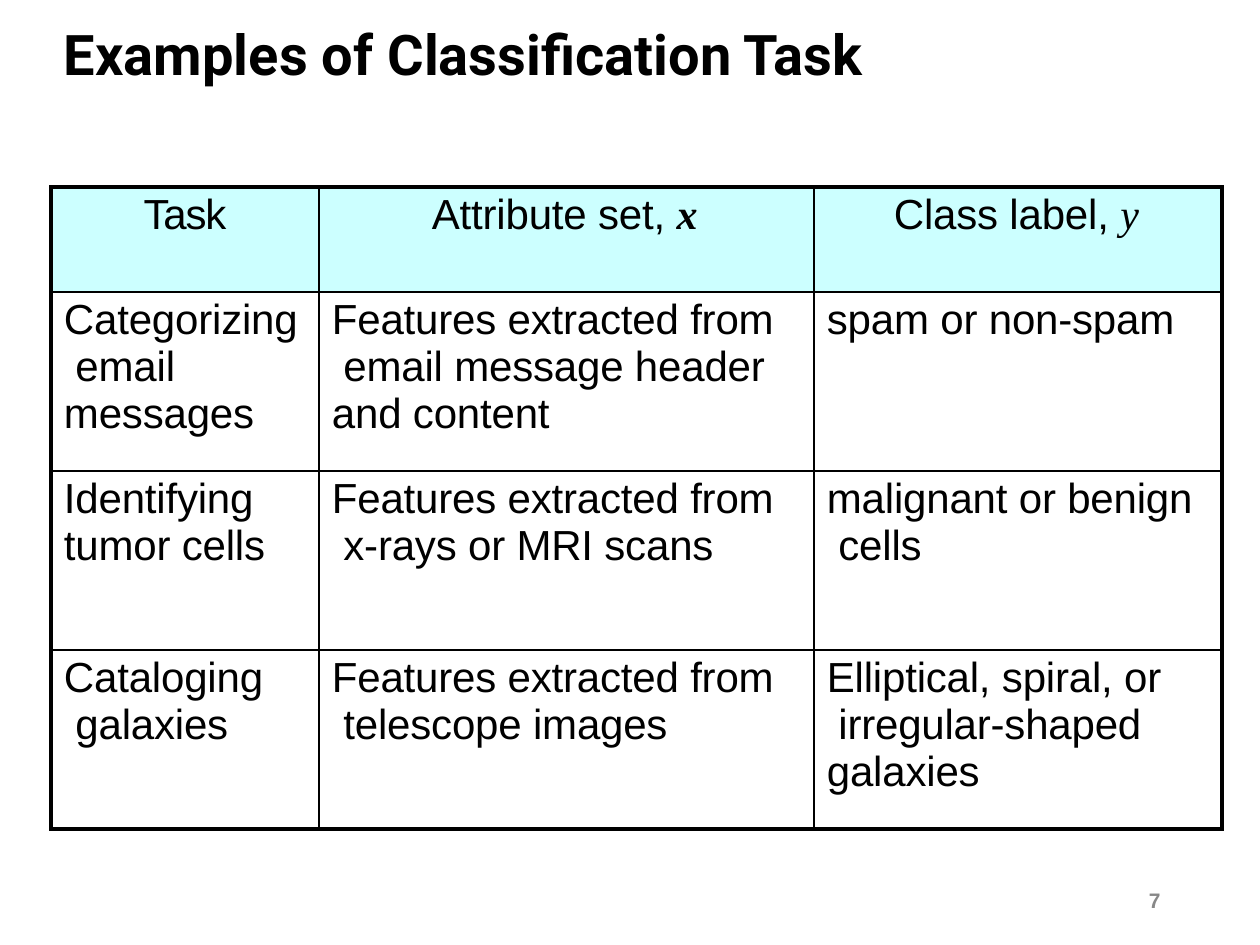
from lxml.etree import SubElement
from pptx import Presentation
from pptx.dml.color import RGBColor
from pptx.enum.text import PP_ALIGN
from pptx.oxml.ns import qn
from pptx.util import Pt

PX = 914400 / 126
BLACK = RGBColor(0, 0, 0)
GRAY = RGBColor(0x88, 0x88, 0x88)
PALE_CYAN = RGBColor(0xCC, 0xFF, 0xFF)

TITLE = "Examples of Classification Task"
PAGE_NUMBER = "7"
HEADERS = [("Task", ""), ("Attribute set, ", "x"), ("Class label, ", "y")]
HEADER_INDENTS = [0, 113, 80]
TASKS = [
    ("Categorizing\v email\vmessages",
     "Features extracted from\v email message header\vand content",
     "spam or non-spam"),
    ("Identifying\vtumor cells",
     "Features extracted from\v x-rays or MRI scans",
     "malignant or benign\v cells"),
    ("Cataloging\v galaxies",
     "Features extracted from\v telescope images",
     "Elliptical, spiral, or\v irregular-shaped\vgalaxies"),
]
TABLE_LEFT, TABLE_TOP = 51, 187
COLUMN_WIDTHS = [268, 495, 408]
ROW_HEIGHTS = [105, 179, 179, 179]
BODY_INDENT = 13
THIN, THICK = 1, 2.25


def px(value):
    return round(value * PX)


def format_run(run, size, name="Arial", color=BLACK, bold=False, italic=False, spacing=-10):
    run.font.size = Pt(size)
    run.font.name = name
    run.font.color.rgb = color
    run.font.bold = bold
    run.font.italic = italic
    run._r.get_or_add_rPr().set("spc", str(spacing))


def add_text(slide, text, box, **style):
    shape = slide.shapes.add_textbox(*map(px, box))
    frame = shape.text_frame
    frame.word_wrap = True
    frame.margin_left = frame.margin_right = frame.margin_top = frame.margin_bottom = 0
    frame.text = text
    paragraph = frame.paragraphs[0]
    format_run(paragraph.runs[0], **style)
    return paragraph


def set_borders(cell, row, column):
    last_row, last_column = len(ROW_HEIGHTS) - 1, len(COLUMN_WIDTHS) - 1
    outer_edges = {"a:lnL": column == 0, "a:lnR": column == last_column,
                   "a:lnT": row == 0, "a:lnB": row == last_row}
    properties = cell._tc.get_or_add_tcPr()
    for tag, is_outer in outer_edges.items():
        line = SubElement(properties, qn(tag), w=str(Pt(THICK if is_outer else THIN)))
        fill = SubElement(line, qn("a:solidFill"))
        SubElement(fill, qn("a:srgbClr"), val=str(BLACK))


def fill_cell(cell, row, column):
    set_borders(cell, row, column)
    cell.margin_right = cell.margin_bottom = 0
    cell.margin_top = px(5)
    paragraph = cell.text_frame.paragraphs[0]
    paragraph.space_before = Pt(3)
    if row:
        cell.fill.background()
        cell.margin_left = px(BODY_INDENT)
        paragraph.text = TASKS[row - 1][column]
        for run in paragraph.runs:
            format_run(run, 24)
        return
    cell.fill.solid()
    cell.fill.fore_color.rgb = PALE_CYAN
    cell.margin_left = px(HEADER_INDENTS[column])
    label, symbol = HEADERS[column]
    paragraph.text = label
    format_run(paragraph.runs[0], 24, spacing=-10 if symbol else -70)
    if symbol:
        run = paragraph.add_run()
        run.text = symbol
        format_run(run, 24, "Times New Roman", bold=symbol == "x", italic=True, spacing=0)
    else:
        paragraph.alignment = PP_ALIGN.CENTER


def add_task_table(slide):
    frame = slide.shapes.add_table(
        len(ROW_HEIGHTS), len(COLUMN_WIDTHS), px(TABLE_LEFT), px(TABLE_TOP),
        px(sum(COLUMN_WIDTHS)), px(sum(ROW_HEIGHTS)))
    table = frame.table
    table.first_row = table.horz_banding = False
    for column, width in enumerate(COLUMN_WIDTHS):
        table.columns[column].width = px(width)
    for row, height in enumerate(ROW_HEIGHTS):
        table.rows[row].height = px(height)
        for column in range(len(COLUMN_WIDTHS)):
            fill_cell(table.cell(row, column), row, column)


def main():
    presentation = Presentation()
    presentation.slide_width, presentation.slide_height = px(1260), px(945)
    slide = presentation.slides.add_slide(presentation.slide_layouts[6])
    title = add_text(slide, TITLE, (64, 20, 882, 71), size=32, name="Roboto",
                     bold=True, spacing=0)
    title.space_before = Pt(1.1)
    number = add_text(slide, PAGE_NUMBER, (1149, 888, 23, 26), size=12, color=GRAY, bold=True)
    number.line_spacing = Pt(14.2)
    add_task_table(slide)
    presentation.save("out.pptx")


if __name__ == "__main__":
    main()
